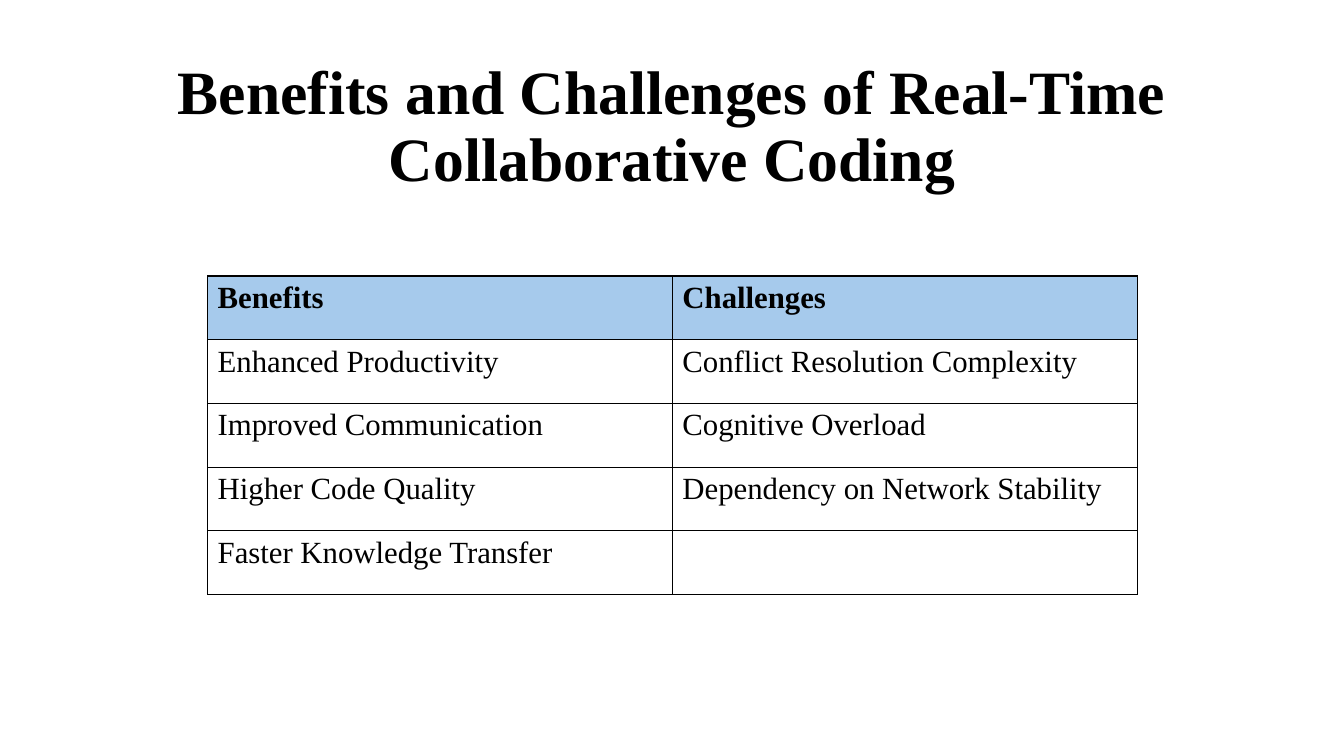
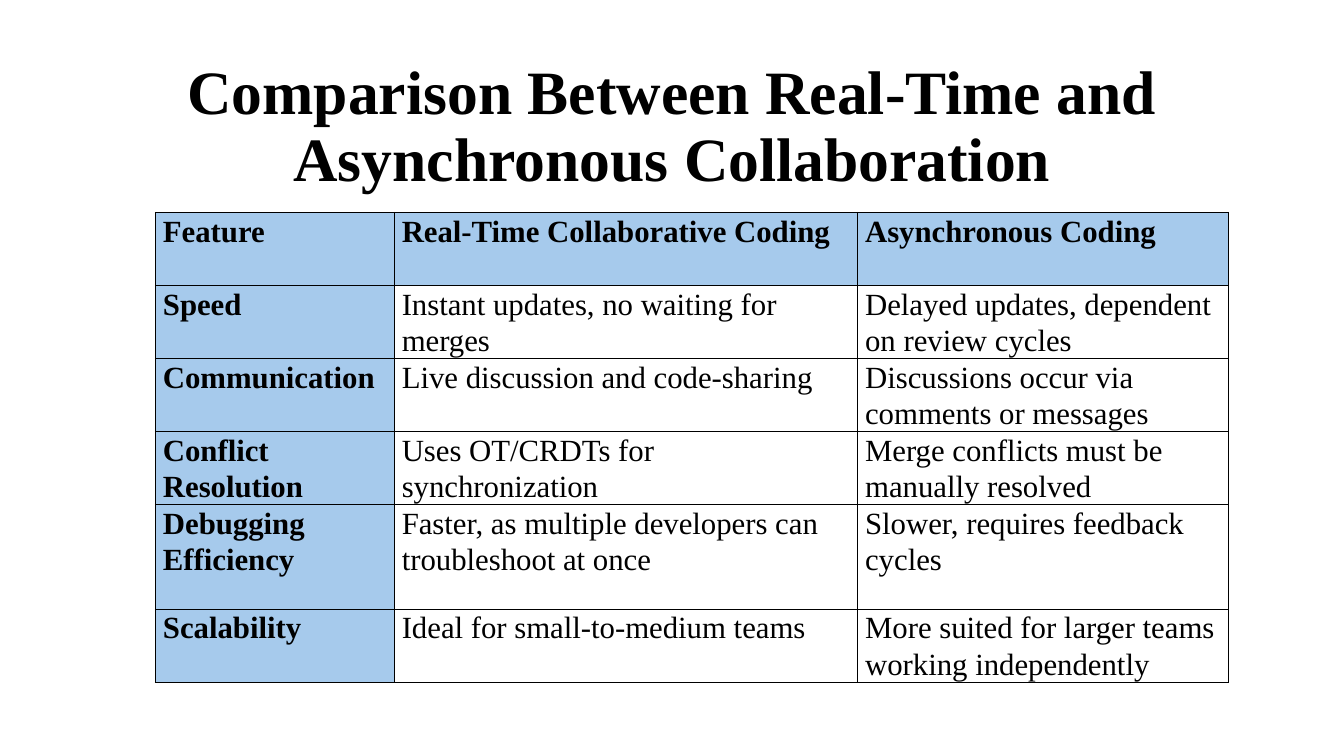
"""Build two slides that each set a comparison table under a centred title."""
from dataclasses import dataclass
from typing import Optional

from lxml import etree
from pptx import Presentation
from pptx.dml.color import RGBColor
from pptx.enum.text import MSO_ANCHOR, MSO_AUTO_SIZE, PP_ALIGN
from pptx.oxml.ns import qn
from pptx.presentation import Presentation as Deck
from pptx.slide import Slide
from pptx.table import _Cell
from pptx.text.text import _Paragraph
from pptx.util import Pt

TOP = MSO_ANCHOR.TOP
NO_FIT = MSO_AUTO_SIZE.NONE
CENTER = PP_ALIGN.CENTER
TITLE_ONLY = 5
SIDES = ("lnL", "lnR", "lnT", "lnB")


@dataclass(frozen=True)
class Theme:
    font: str = "Times New Roman"
    ink: str = "000000"
    heading_fill: str = "A6CAEC"
    title_size: float = 44
    cell_size: float = 22
    border: float = 1


@dataclass(frozen=True)
class CellStyle:
    side_inset: float
    edge_inset: float
    line_spacing: Optional[float] = None
    space_after: Optional[float] = None


@dataclass(frozen=True)
class Comparison:
    title: str
    left: float
    top: float
    columns: tuple[float, ...]
    row_heights: tuple[float, ...]
    rows: tuple[tuple[str, ...], ...]
    style: CellStyle
    heading_column: bool = False


THEME = Theme()
ROOMY = CellStyle(side_inset=7.2, edge_inset=3.6)
COMPACT = CellStyle(side_inset=5.4, edge_inset=0, line_spacing=1.07, space_after=8)

COMPARISONS = (
    Comparison(
        title="Benefits and Challenges of Real-Time Collaborative Coding",
        left=148.3,
        top=197.2,
        columns=(332, 332),
        row_heights=(45.5,) * 5,
        rows=(
            ("Benefits", "Challenges"),
            ("Enhanced Productivity", "Conflict Resolution Complexity"),
            ("Improved Communication", "Cognitive Overload"),
            ("Higher Code Quality", "Dependency on Network Stability"),
            ("Faster Knowledge Transfer", ""),
        ),
        style=ROOMY,
    ),
    Comparison(
        title="Comparison Between Real-Time and Asynchronous Collaboration",
        left=111,
        top=151.8,
        columns=(170.6, 331, 265),
        row_heights=(52, 52, 52, 52, 75, 52),
        rows=(
            ("Feature", "Real-Time Collaborative Coding", "Asynchronous Coding"),
            ("Speed", "Instant updates, no waiting for merges",
             "Delayed updates, dependent on review cycles"),
            ("Communication", "Live discussion and code-sharing",
             "Discussions occur via comments or messages"),
            ("Conflict Resolution", "Uses OT/CRDTs for synchronization",
             "Merge conflicts must be manually resolved"),
            ("Debugging Efficiency",
             "Faster, as multiple developers can troubleshoot at once",
             "Slower, requires feedback cycles"),
            ("Scalability", "Ideal for small-to-medium teams",
             "More suited for larger teams working independently"),
        ),
        style=COMPACT,
        heading_column=True,
    ),
)


def add_run(paragraph: _Paragraph, text: str, size: float, bold: bool) -> None:
    """Append one run in the theme font and ink."""
    run = paragraph.add_run()
    run.text = text
    run.font.name = THEME.font
    run.font.size = Pt(size)
    run.font.bold = bold
    run.font.color.rgb = RGBColor.from_string(THEME.ink)


def set_title(slide: Slide, text: str) -> None:
    """Place and fill the title placeholder."""
    title = slide.shapes.title
    title.left, title.top = Pt(36.7), Pt(40.3)
    title.width, title.height = Pt(887), Pt(432)
    frame = title.text_frame
    frame.word_wrap = True
    frame.auto_size = NO_FIT
    frame.vertical_anchor = TOP
    paragraph = frame.paragraphs[0]
    paragraph.alignment = CENTER
    paragraph.line_spacing = 0.9
    paragraph.space_before = Pt(10)
    add_run(paragraph, text, THEME.title_size, bold=True)


def set_borders(cell: _Cell) -> None:
    """Draw a solid line on every side of a cell."""
    properties = cell._tc.get_or_add_tcPr()
    for side in SIDES:
        line = etree.SubElement(properties, qn(f"a:{side}"), w=str(Pt(THEME.border)))
        fill = etree.SubElement(line, qn("a:solidFill"))
        etree.SubElement(fill, qn("a:srgbClr"), val=THEME.ink)


def fill_cell(cell: _Cell, text: str, style: CellStyle, heading: bool) -> None:
    """Format one table cell and write its text."""
    cell.margin_left = cell.margin_right = Pt(style.side_inset)
    cell.margin_top = cell.margin_bottom = Pt(style.edge_inset)
    cell.vertical_anchor = TOP
    set_borders(cell)
    if heading:
        cell.fill.solid()
        cell.fill.fore_color.rgb = RGBColor.from_string(THEME.heading_fill)
    else:
        cell.fill.background()
    paragraph = cell.text_frame.paragraphs[0]
    if style.line_spacing is not None:
        paragraph.line_spacing = style.line_spacing
    if style.space_after is not None:
        paragraph.space_after = Pt(style.space_after)
    if text:
        add_run(paragraph, text, THEME.cell_size, heading)


def add_comparison_table(slide: Slide, comparison: Comparison) -> None:
    """Draw the table of one comparison."""
    table = slide.shapes.add_table(
        len(comparison.rows), len(comparison.columns),
        Pt(comparison.left), Pt(comparison.top),
        Pt(sum(comparison.columns)), Pt(sum(comparison.row_heights)),
    ).table
    table.first_row = False
    table.horz_banding = False
    for column, width in zip(table.columns, comparison.columns):
        column.width = Pt(width)
    for row, height in zip(table.rows, comparison.row_heights):
        row.height = Pt(height)
    for row_index, texts in enumerate(comparison.rows):
        for column_index, text in enumerate(texts):
            heading = row_index == 0 or (comparison.heading_column and column_index == 0)
            fill_cell(table.cell(row_index, column_index), text, comparison.style, heading)


def add_comparison_slide(deck: Deck, comparison: Comparison) -> None:
    """Add a slide with a title and its table."""
    slide = deck.slides.add_slide(deck.slide_layouts[TITLE_ONLY])
    set_title(slide, comparison.title)
    add_comparison_table(slide, comparison)


def main() -> None:
    """Build and save the deck."""
    deck = Presentation()
    deck.slide_width, deck.slide_height = Pt(960), Pt(540)
    for comparison in COMPARISONS:
        add_comparison_slide(deck, comparison)
    deck.save("out.pptx")


if __name__ == "__main__":
    main()
